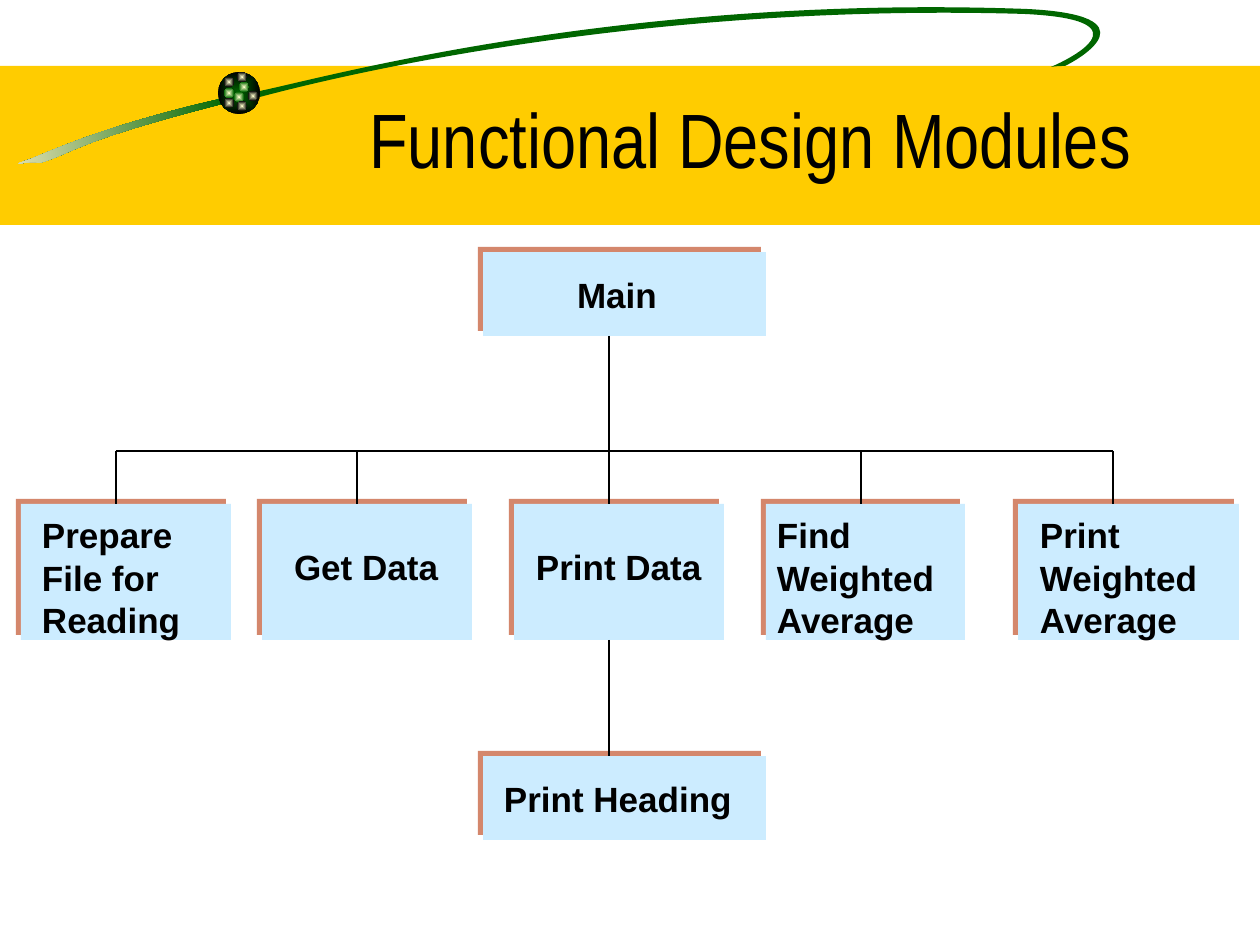
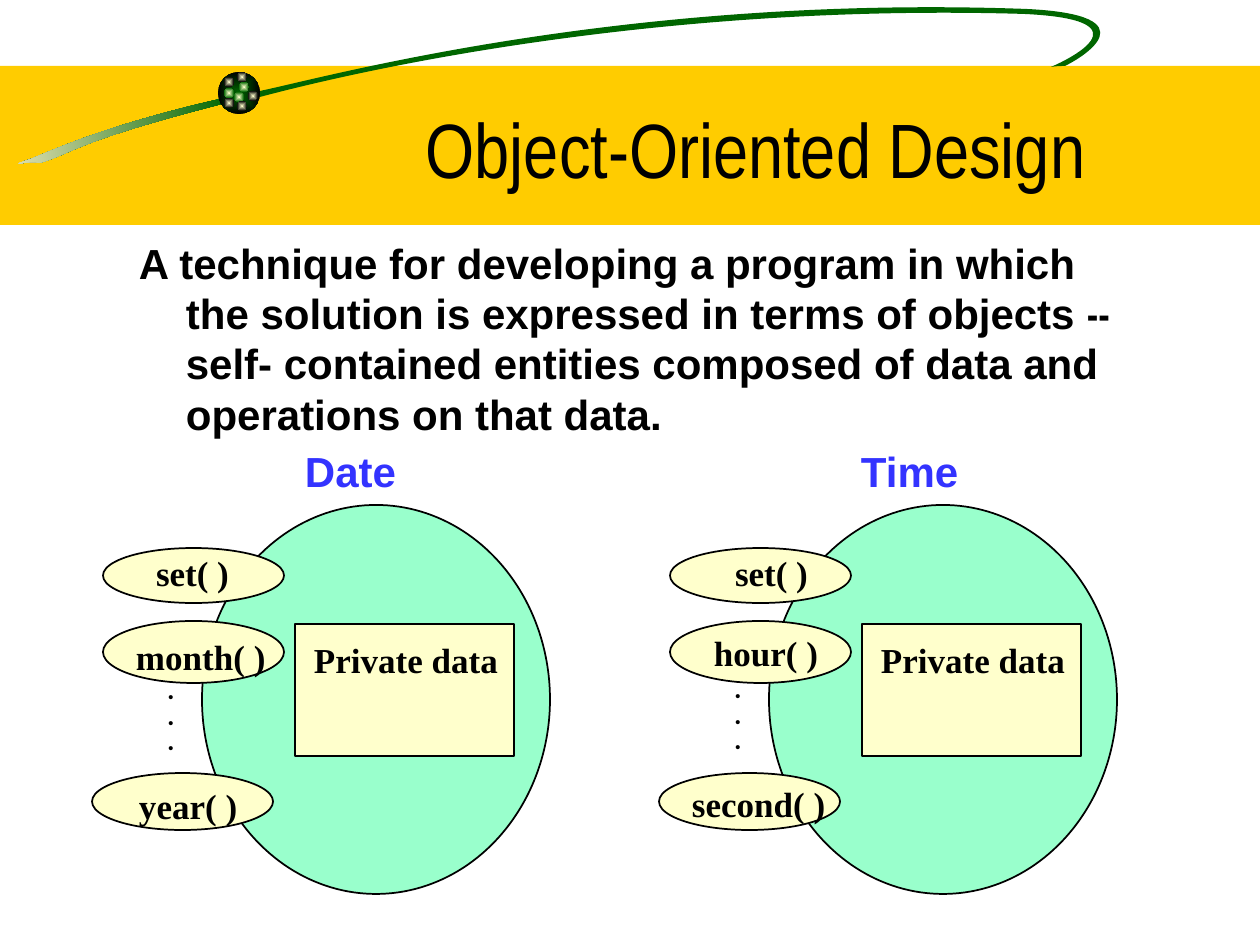
import math

from lxml import etree
from pptx import Presentation
from pptx import util as u
from pptx.dml.color import RGBColor
from pptx.enum import shapes, text
from pptx.oxml.ns import qn

PX = u.Inches(1) / 126
RECT, OVAL = shapes.MSO_SHAPE.RECTANGLE, shapes.MSO_SHAPE.OVAL
COLORS = {
    "band": "FFCC00", "green": "006600", "sand": "F5EBC1", "black": "000000",
    "module": "CCECFF", "shadow": "D4876C", "object": "99FFCC",
    "cream": "FFFFCC", "heading": "3333FF", "white": "FFFFFF",
}
RGB = {name: RGBColor.from_string(value) for name, value in COLORS.items()}


def paint(shape, fill, edge=None):
    """Fill with one colour name, or with a pair of names as a gradient."""
    shape.shadow.inherit = False
    if isinstance(fill, tuple):
        shape.fill.gradient()
        shape.fill.gradient_angle = 180
        for stop, name in zip(shape.fill.gradient_stops, fill):
            stop.color.rgb = RGB[name]
    else:
        shape.fill.solid()
        shape.fill.fore_color.rgb = RGB[fill]
    if edge:
        shape.line.color.rgb = RGB[edge]
        shape.line.width = u.Pt(1)
    else:
        shape.line.fill.background()
    return shape


def add_label(page, area, words, font="Arial", size=20, color="black", inset=(13, 6)):
    """Add a bold label; it needs no right margin, so its line never breaks."""
    box = page.shapes.add_textbox(*[round(PX * n) for n in area])
    frame = box.text_frame
    frame.text = words
    frame.word_wrap = True
    frame.margin_left, frame.margin_right = round(PX * inset[0]), 0
    frame.margin_top = frame.margin_bottom = round(PX * inset[1])
    for para in frame.paragraphs:
        for span in para.runs:
            span.font.name, span.font.size, span.font.bold = font, u.Pt(size), True
            span.font.color.rgb = RGB[color]
    return box


deck = Presentation()
deck.slide_width, deck.slide_height = u.Inches(10), u.Inches(7.5)

# Shared look: each outline is a start point followed by Bézier triples
STREAK = [(224, 98), (115, 123), (62, 146), (31, 159), (1, 169), (33, 159), (39, 163),
          (72, 154), (72, 142), (226, 103)]
SWOOSH = [(255, 92), (310, 82), (612, -6), (1026, 9), (1155, 15), (1080, 59), (1065, 66),
          (1065, 66), (1056, 66), (1051, 67), (1063, 62), (1154, 20), (1024, 14),
          (690, 4), (403, 59), (260, 97)]
BALL = [(218, 72, 42, ("green", "black"))]
BALL += [(x, y, 10, ("cream", "green")) for x, y in [(239, 82), (224, 88), (234, 92)]]
BALL += [(x, y, 10, ("cream", "black"))
         for x, y in [(224, 77), (248, 91), (237, 101), (224, 98), (237, 72)]]
FINE = 100  # outline units in one px
TILT = 351.5
COS, SIN = math.cos(math.radians(TILT)), math.sin(math.radians(TILT))

pages = []
for heading, area in [("Functional Design Modules", (210, 32, 1081, 158)),
                      ("Object-Oriented Design", (273, 84, 966, 116))]:
    page = deck.slides.add_slide(deck.slide_layouts[5])
    pages.append(page)
    band = page.shapes.add_shape(RECT, *[round(PX * n) for n in (0, 66, 1260, 159)])
    paint(band, "band")

    # Curves are drawn level, then tilted about their own middle
    for outline, fill in [(STREAK, ("green", "sand")), (SWOOSH, "green")]:
        level = [(FINE * (x * COS + y * SIN), FINE * (y * COS - x * SIN))
                 for x, y in outline]
        builder = page.shapes.build_freeform(*level[0], scale=PX / FINE)
        builder.add_line_segments(level[1:], close=True)
        curve = paint(builder.convert_to_shape(), fill)
        corners = list(curve.element.iter(qn("a:lnTo")))
        for first in range(0, len(outline) - 1, 3):
            bezier = etree.Element(qn("a:cubicBezTo"))
            corners[first].addprevious(bezier)
            for corner in corners[first:first + 3]:
                bezier.append(corner[0])
                corner.getparent().remove(corner)
        x, y = curve.left + curve.width / 2, curve.top + curve.height / 2
        curve.left = round(x * COS - y * SIN - curve.width / 2)
        curve.top = round(x * SIN + y * COS - curve.height / 2)
        curve.rotation = TILT

    for x, y, width, fill in BALL:
        bead = page.shapes.add_shape(OVAL, *[round(PX * n) for n in (x, y, width, width)])
        paint(bead, fill)
        # Gradient from the centre outwards
        linear = bead.element.spPr.find(".//" + qn("a:lin"))
        gradient = linear.getparent()
        gradient.remove(linear)
        radial = etree.SubElement(gradient, qn("a:path"), path="rect")
        etree.SubElement(radial, qn("a:fillToRect"), l="50000", t="50000",
                         r="50000", b="50000")

    # Half-transparent side panel
    panel = page.shapes.add_shape(RECT, *[round(PX * n) for n in (93, 260, 154, 685)])
    paint(panel, "white")
    tint = panel.element.spPr.find(".//" + qn("a:srgbClr"))
    etree.SubElement(tint, qn("a:alpha"), val="50000")

    # Title, brought in front of the band
    title = page.shapes.title
    title.element.getparent().append(title.element)
    title.left, title.top, title.width, title.height = [round(PX * n) for n in area]
    frame = title.text_frame
    frame.text = heading
    frame.auto_size = text.MSO_AUTO_SIZE.NONE
    frame.vertical_anchor = text.MSO_ANCHOR.BOTTOM
    para = frame.paragraphs[0]
    para.alignment = text.PP_ALIGN.CENTER
    font = para.runs[0].font
    font.name, font.size = "Arial Narrow", u.Pt(44)
    font.color.rgb = RGB["black"]

modules_page, objects_page = pages

# Module chart: box, label area, label
MODULES = [
    ((483, 252, 283, 84), (564, 267, 106, 54), "Main"),
    ((21, 504, 210, 136), (29, 508, 166, 139), "Prepare\nFile for\nReading"),
    ((262, 504, 210, 136), (281, 539, 170, 54), "Get Data"),
    ((514, 504, 210, 136), (523, 539, 192, 54), "Print Data"),
    ((766, 504, 199, 136), (764, 508, 193, 139), "Find\nWeighted\nAverage"),
    ((1018, 504, 221, 136), (1027, 508, 193, 139), "Print\nWeighted\nAverage"),
    ((483, 756, 283, 84), (491, 771, 253, 54), "Print Heading"),
]
for area, label_area, words in MODULES:
    module = modules_page.shapes.add_shape(RECT, *[round(PX * n) for n in area])
    paint(module, "module")
    effects = module.element.spPr.find(qn("a:effectLst"))
    shadow = etree.SubElement(effects, qn("a:outerShdw"), dist="53000",
                              dir="13500000", algn="ctr", rotWithShape="0")
    etree.SubElement(shadow, qn("a:srgbClr"), val=COLORS["shadow"])
    add_label(modules_page, label_area, words)

# Tree lines: trunk, bus, stem to the last module, drops to the row
BUS, ROW, TRUNK = 451, 504, 609
tree = [(TRUNK, 336, TRUNK, ROW), (116, BUS, 1113, BUS), (TRUNK, 640, TRUNK, 756)]
tree += [(x, BUS, x, ROW) for x in (116, 357, 861, 1113)]
for ends in tree:
    line = modules_page.shapes.add_connector(
        shapes.MSO_CONNECTOR.STRAIGHT, *[round(PX * n) for n in ends])
    line.line.color.rgb = RGB["black"]
    line.line.width = u.Pt(1)
    etree.SubElement(line.element.spPr, qn("a:effectLst"))

# Definition of object-oriented design
definition = add_label(
    objects_page, (126, 231, 1019, 220),
    "A technique for developing a program in which the solution is expressed "
    "in terms of objects ", size=24)
definition.text_frame.margin_right = round(PX * 13)
para = definition.text_frame.paragraphs[0]
para.space_before = u.Pt(6)
indent = definition.element.find(".//" + qn("a:pPr"))
indent.set("marL", str(round(PX * 47)))
indent.set("indent", str(round(PX * -47)))
for words, name in [("--", "Arial Narrow"),
                    (" self- contained entities composed of data and operations on that data.",
                     "Arial")]:
    span = para.add_run()
    span.text = words
    span.font.name, span.font.size, span.font.bold = name, u.Pt(24), True
    span.font.color.rgb = RGB["black"]

# Two objects: offset, name and its area, dots area, operations
OBJECTS = [
    (0, "Date", (292, 440, 116, 63), (158, 674, 97, 86),
     [("set( )", (146, 546, 93, 52)), ("month( )", (126, 630, 150, 52)),
      ("year( )", (129, 779, 118, 52))]),
    (567, "Time", (848, 440, 123, 63), (725, 673, 97, 86),
     [("set( )", (725, 546, 93, 52)), ("hour( )", (704, 626, 125, 52)),
      ("second( )", (682, 777, 154, 52))]),
]
PARTS = [
    (OVAL, "object", (202, 505, 348, 389)),
    (OVAL, "cream", (103, 548, 181, 55)),
    (OVAL, "cream", (103, 621, 181, 62)),
    (OVAL, "cream", (92, 773, 181, 57)),
    (RECT, "cream", (295, 624, 219, 132)),
]
for shift, name, name_area, dots_area, operations in OBJECTS:
    for kind, fill, (x, y, width, height) in PARTS:
        part = objects_page.shapes.add_shape(
            kind, *[round(PX * n) for n in (x + shift, y, width, height)])
        paint(part, fill, "black")
    add_label(objects_page, name_area, name, size=24, color="heading")
    for words, area in operations + [("Private data", (304 + shift, 633, 204, 52))]:
        add_label(objects_page, area, words, "Times New Roman", inset=(10, 5))
    add_label(objects_page, dots_area, ".\n.\n.", "Montserrat", 12, inset=(10, 5))

deck.save("out.pptx")
